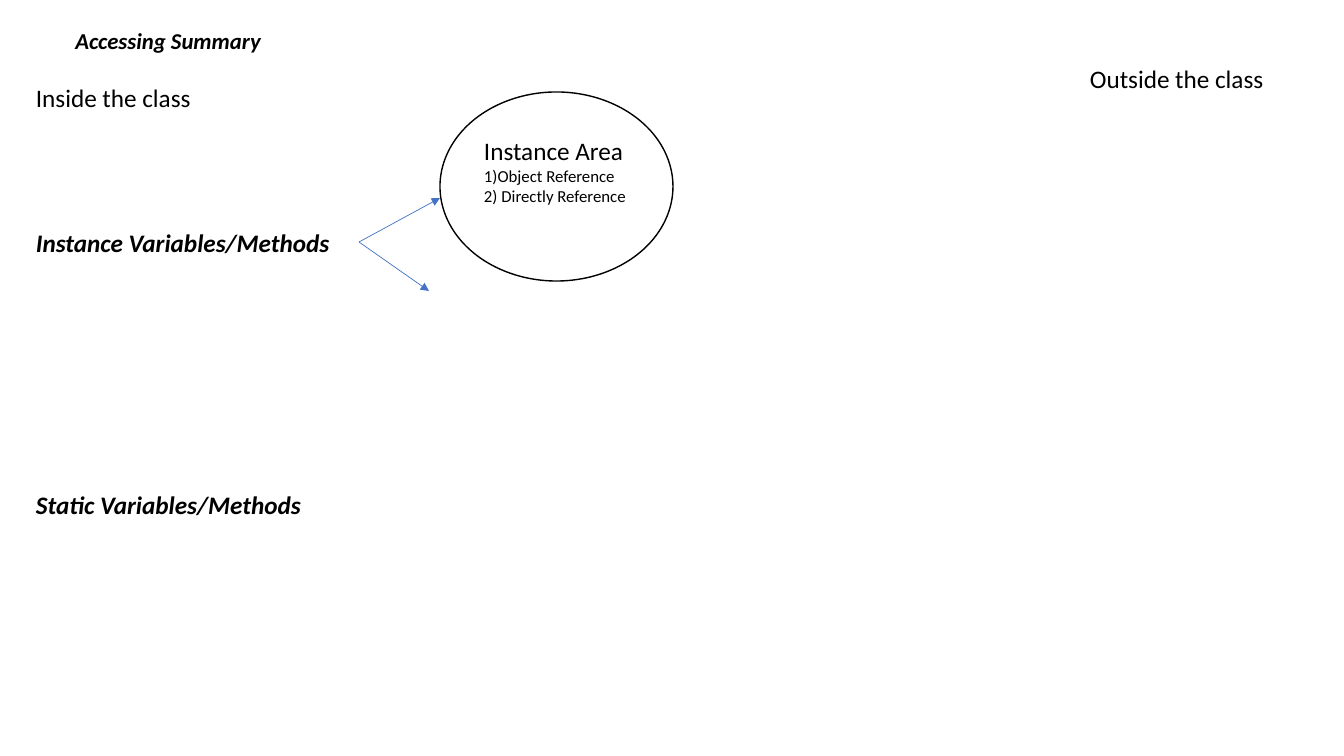
from pptx import Presentation
from pptx.dml.color import RGBColor
from pptx.enum.shapes import MSO_CONNECTOR, MSO_SHAPE
from pptx.enum.text import MSO_ANCHOR, MSO_AUTO_SIZE, PP_ALIGN
from pptx.oxml.ns import qn
from pptx.util import Pt
from lxml.etree import SubElement

COLORS = {"text": "000000", "paper": "FFFFFF", "arrow": "4472C4"}
FONT = "Calibri"
TITLE = ("Accessing Summary", (53, 26, 230, 33))
LABELS = [
    ("Inside the class", (26, 77, 238, 40), False),
    ("Outside the class", (1080, 58, 238, 40), False),
    ("Instance Variables/Methods", (26, 222, 319, 40), True),
    ("Static Variables/Methods", (26, 484, 319, 40), True),
]
ARROW_START = (359, 242)
ARROW_ENDS = [(440, 198), (429, 291)]
AREA_BOX = (440, 92, 233, 189)
AREA_LINES = [("Instance Area", 18), ("1)Object Reference", 12), ("2) Directly Reference", 12)]
AREA_BOTTOM_INSET = 36


def px(value):
    return round(value * 914400 / 100.8)


def box(values):
    return [px(value) for value in values]


def color(name):
    return RGBColor.from_string(COLORS[name])


def add_run(paragraph, text, size, emphasis=False):
    run = paragraph.add_run()
    run.text = text
    run.font.name = FONT
    run.font.size = Pt(size)
    run.font.bold = run.font.italic = emphasis
    run.font.color.rgb = color("text")


presentation = Presentation()
presentation.slide_width, presentation.slide_height = px(1344), px(756)
slide = presentation.slides.add_slide(presentation.slide_layouts[0])
subtitle = slide.placeholders[1].element
subtitle.getparent().remove(subtitle)

title_text, title_box = TITLE
title = slide.shapes.title
title.left, title.top, title.width, title.height = box(title_box)
frame = title.text_frame
frame.auto_size = MSO_AUTO_SIZE.NONE
frame.vertical_anchor = MSO_ANCHOR.BOTTOM
paragraph = frame.paragraphs[0]
paragraph.alignment = PP_ALIGN.CENTER
paragraph.line_spacing = 0.9
add_run(paragraph, title_text, 16.2, True)

for text, position, emphasis in LABELS:
    frame = slide.shapes.add_textbox(*box(position)).text_frame
    frame.word_wrap = True
    frame.auto_size = MSO_AUTO_SIZE.SHAPE_TO_FIT_TEXT
    add_run(frame.paragraphs[0], text, 18, emphasis)

for end in ARROW_ENDS:
    arrow = slide.shapes.add_connector(MSO_CONNECTOR.STRAIGHT, *box(ARROW_START + end))
    arrow.line.color.rgb = color("arrow")
    arrow.line.width = Pt(0.5)
    SubElement(arrow.line._get_or_add_ln(), qn("a:tailEnd"), type="triangle")
    SubElement(arrow._element.spPr, qn("a:effectLst"))

area = slide.shapes.add_shape(MSO_SHAPE.OVAL, *box(AREA_BOX))
area.shadow.inherit = False
area.fill.solid()
area.fill.fore_color.rgb = color("paper")
area.line.color.rgb = color("text")
area.line.width = Pt(1)
frame = area.text_frame
frame.word_wrap = True
frame.vertical_anchor = MSO_ANCHOR.MIDDLE
frame.margin_bottom = px(AREA_BOTTOM_INSET)
for index, (text, size) in enumerate(AREA_LINES):
    paragraph = frame.add_paragraph() if index else frame.paragraphs[0]
    paragraph.alignment = PP_ALIGN.LEFT
    add_run(paragraph, text, size)

presentation.save("out.pptx")
